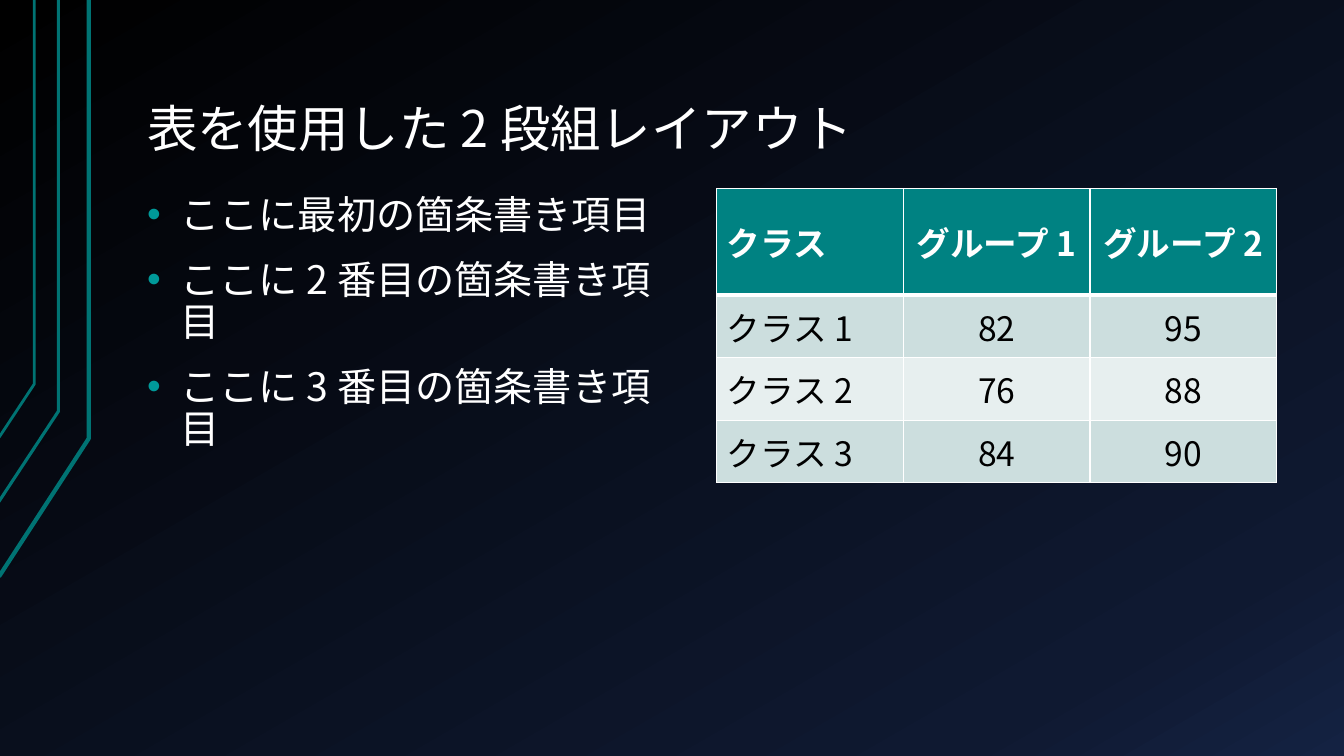
from copy import deepcopy

from lxml.etree import SubElement
from pptx import Presentation
from pptx.dml.color import RGBColor
from pptx.enum.lang import MSO_LANGUAGE_ID as Language
from pptx.enum.text import MSO_ANCHOR as Anchor, PP_ALIGN as Align
from pptx.oxml.ns import qn
from pptx.util import Inches, Pt

FONT = "Noto Sans CJK JP"
COLORS = {
    "night": "000000", "navy": "0F1931", "blue": "142242",
    "line": "007373", "bullet": "009999", "header": "008282",
    "band": "CCDEDE", "pale": "E7EFEF", "white": "FFFFFF", "black": "000000",
}
TITLE = "表を使用した 2 段組レイアウト"
BULLETS = [
    "ここに最初の箇条書き項目",
    "ここに 2 番目の箇条書き項目",
    "ここに 3 番目の箇条書き項目",
]
SCORES = [
    ["クラス", "グループ 1", "グループ 2"],
    ["クラス 1", "82", "95"],
    ["クラス 2", "76", "88"],
    ["クラス 3", "84", "90"],
]
HEADER_HEIGHT = 1.06  # room for two lines of text


def rgb(name):
    return RGBColor.from_string(COLORS[name])


def write(para, text, size=28, color="white", bold=False, align=Align.LEFT,
          line_spacing=None, before=None):
    para.alignment = align
    para.line_spacing = line_spacing
    if before is not None:
        para.space_before = Pt(before)
    span = para.add_run()
    span.text = text
    font = span.font
    font.name, font.size, font.bold = FONT, Pt(size), bold
    font.color.rgb = rgb(color)
    font.language_id = Language.JAPANESE
    latin = font._element.find(qn("a:latin"))
    east_asian = deepcopy(latin)
    east_asian.tag = qn("a:ea")
    latin.addnext(east_asian)


def add_bullet(para, indent=0.33):
    props = para._p.get_or_add_pPr()
    props.set("marL", str(Inches(indent)))
    props.set("indent", str(-Inches(indent)))
    color = SubElement(props, qn("a:buClr"))
    SubElement(color, qn("a:srgbClr"), val=COLORS["bullet"])
    SubElement(props, qn("a:buFont"), typeface="Arial")
    SubElement(props, qn("a:buChar"), char="•")


def add_frame(page, left, top, width, height, anchor):
    box = page.shapes.add_textbox(
        Inches(left), Inches(top), Inches(width), Inches(height))
    frame = box.text_frame
    frame.word_wrap = True
    frame.vertical_anchor = anchor
    frame.margin_left = frame.margin_right = Inches(0.13)
    frame.margin_top = frame.margin_bottom = Inches(0.07)
    return frame


def paint_background(page):
    fill = page.background.fill
    fill.gradient()
    fill.gradient_angle = 300
    stops = page.element.find(".//" + qn("a:gsLst"))
    stops.append(deepcopy(stops[-1]))
    shades = [("night", 0), ("navy", 0.85), ("blue", 1)]
    for stop, (name, position) in zip(fill.gradient_stops, shades):
        stop.color.rgb = rgb(name)
        stop.position = position


def add_side_lines(page, left, top):
    # Each line: start x, start y, bend x, bend y, weight
    for start_x, start_y, bend_x, bend_y, weight in [
        (0.01, 5.72, 0.9, 4.35, 3),
        (0, 4.99, 0.6, 4.08, 2.25),
        (0.01, 4.34, 0.36, 3.81, 2),
    ]:
        points = [(Inches(left + x), Inches(top + y)) for x, y in
                  [(start_x, start_y), (bend_x, bend_y), (bend_x, 0)]]
        builder = page.shapes.build_freeform(*points[0])
        builder.add_line_segments(points[1:], close=False)
        stripe = builder.convert_to_shape()
        stripe.shadow.inherit = False
        stripe.fill.background()
        stripe.line.color.rgb = rgb("line")
        stripe.line.width = Pt(weight)


def add_title(page, left, top, width, height):
    frame = add_frame(page, left, top, width, height, Anchor.BOTTOM)
    write(frame.paragraphs[0], TITLE, size=36, line_spacing=0.9)


def add_bullets(page, left, top, width, height):
    frame = add_frame(page, left, top, width, height, Anchor.TOP)
    for index, text in enumerate(BULLETS):
        para = frame.add_paragraph() if index else frame.paragraphs[0]
        write(para, text, line_spacing=0.9, before=16)
        add_bullet(para)


def set_borders(cell, weights):
    props = cell._tc.get_or_add_tcPr()
    for index, (side, weight) in enumerate(weights.items()):
        border = SubElement(props, qn(f"a:ln{side}"), w=str(Pt(weight)))
        fill = SubElement(border, qn("a:solidFill"))
        SubElement(fill, qn("a:srgbClr"), val=COLORS["white"])
        props.insert(index, border)


def add_scores(page, left, top, width, height):
    table = page.shapes.add_table(
        len(SCORES), len(SCORES[0]), Inches(left), Inches(top),
        Inches(width), Inches(height)).table
    body_height = (height - HEADER_HEIGHT) / (len(SCORES) - 1)
    for row, values in enumerate(SCORES):
        header = row == 0
        shade = "header" if header else "band" if row % 2 else "pale"
        table.rows[row].height = Inches(HEADER_HEIGHT if header else body_height)
        for column, text in enumerate(values):
            cell = table.cell(row, column)
            cell.vertical_anchor = Anchor.MIDDLE
            cell.fill.solid()
            cell.fill.fore_color.rgb = rgb(shade)
            set_borders(cell, {"L": 1, "R": 1, "T": 3 if row == 1 else 1,
                               "B": 3 if header else 1})
            write(cell.text_frame.paragraphs[0], text, size=24, bold=header,
                  color="white" if header else "black",
                  align=Align.CENTER if column else Align.LEFT)


def main():
    deck = Presentation()
    deck.slide_width, deck.slide_height = Inches(13.33), Inches(7.5)
    page = deck.slides.add_slide(deck.slide_layouts[6])

    # Backdrop
    paint_background(page)
    add_side_lines(page, -0.02, 0)

    # Heading and the two columns
    add_title(page, 1.33, 0.3, 11.33, 1.34)
    add_bullets(page, 1.33, 1.87, 5.55, 4.88)
    add_scores(page, 7.11, 1.87, 5.55, 2.92)

    deck.save("out.pptx")


if __name__ == "__main__":
    main()
